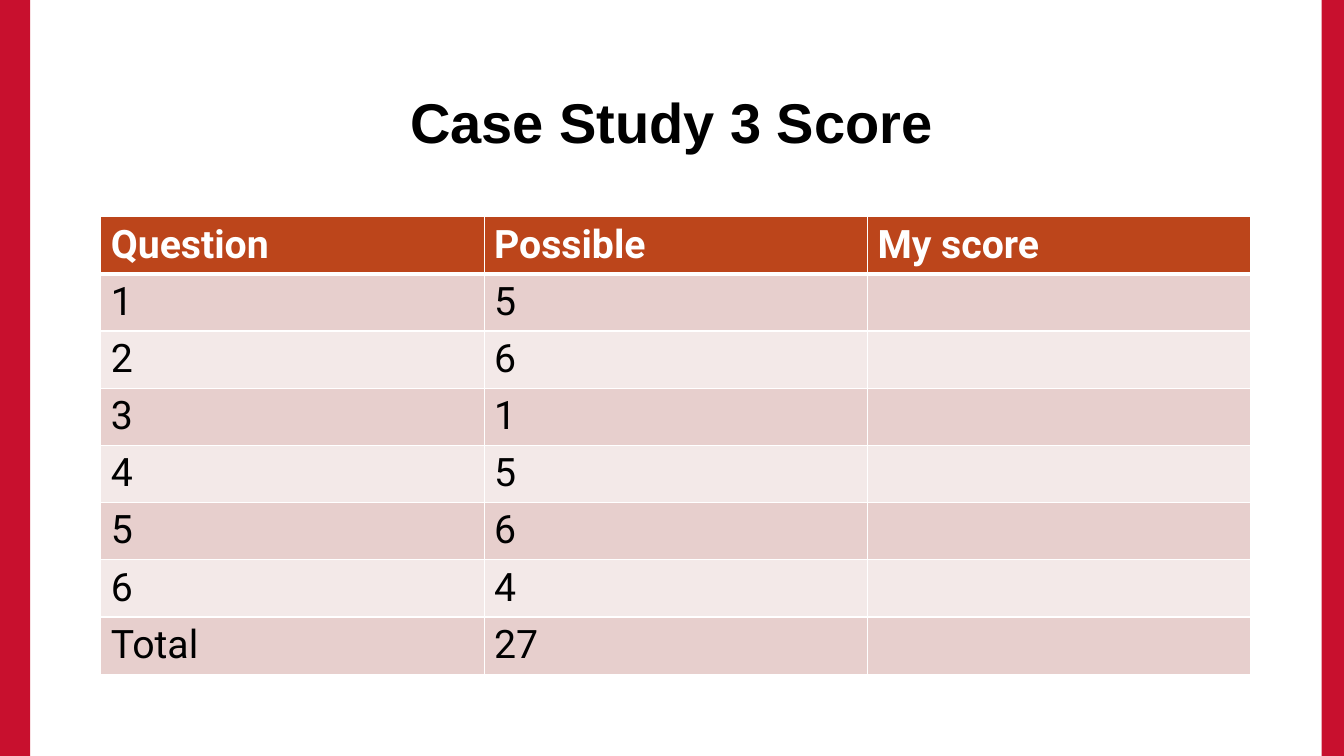
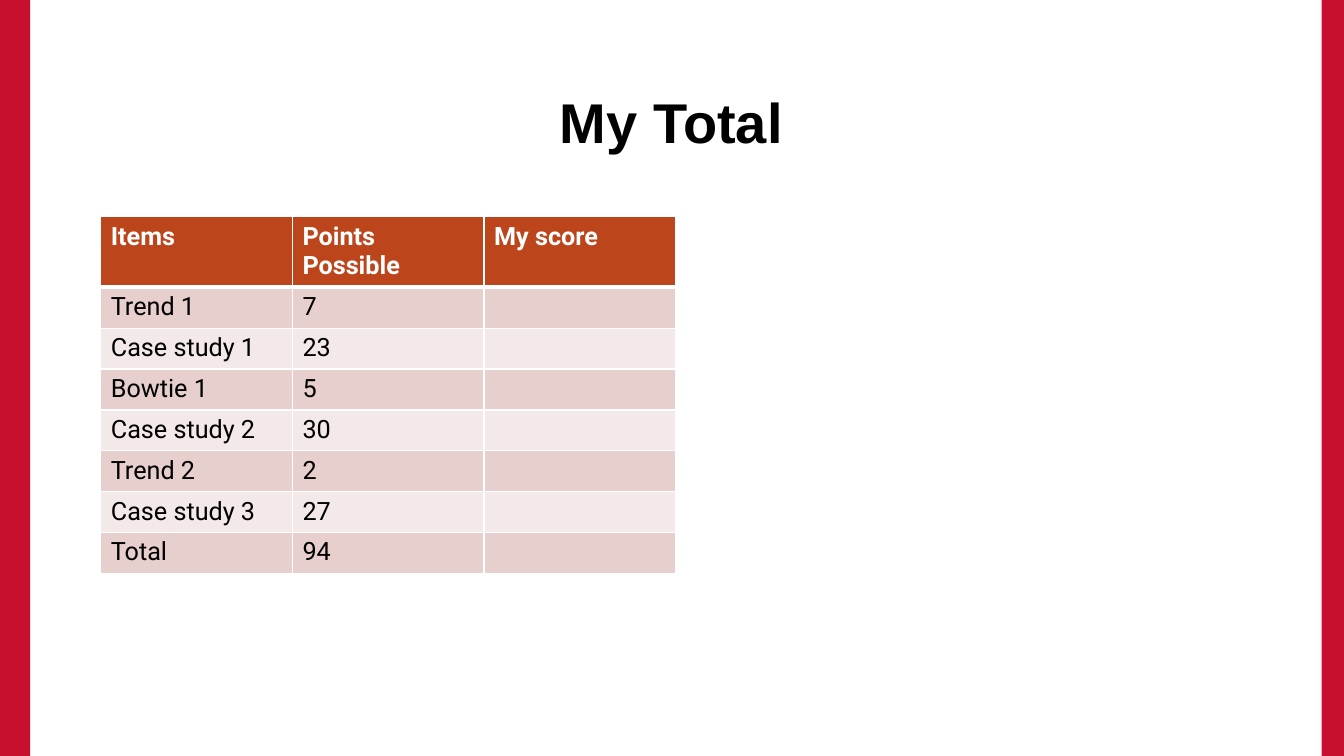
"""Build two score slides that share side bands, a title style and a table style."""
import pptx
import pptx.dml.color
import pptx.enum.shapes
import pptx.enum.text
import pptx.oxml
import pptx.oxml.ns
import pptx.util

Pt = pptx.util.Pt
HUES = {"band": "C8102E", "head": "BC451B", "dark": "E7CFCD", "light": "F3E9E8",
        "white": "FFFFFF", "black": "000000"}
WIDE, HIGH = 960, 540
BANDS = [(0, 21.6), (944, 16)]
LEFT, TOP = 72, 154.8
TITLE = {"name": "Arial", "size": Pt(40), "bold": True}
FRAME = {"word_wrap": True, "vertical_anchor": pptx.enum.text.MSO_ANCHOR.MIDDLE}
SLIDES = [
    {"title": "Case Study 3 Score", "size": 28, "col": 273.8, "head": 39.6, "row": 40,
     "rows": [("Question", "Possible", "My score"), ("1", "5", ""), ("2", "6", ""),
              ("3", "1", ""), ("4", "5", ""), ("5", "6", ""), ("6", "4", ""),
              ("Total", "27", "")]},
    {"title": "My Total", "size": 18, "col": 136.9, "head": 49, "row": 29.2,
     "rows": [("Items", "Points Possible", "My score"), ("Trend 1", "7", ""),
              ("Case study 1", "23", ""), ("Bowtie 1", "5", ""),
              ("Case study 2", "30", ""), ("Trend 2", "2", ""),
              ("Case study 3", "27", ""), ("Total", "94", "")]},
]


def paint(fill, hue):
    fill.solid()
    fill.fore_color.rgb = pptx.dml.color.RGBColor.from_string(HUES[hue])


def write(para, text, form, hue):
    run = para.add_run()
    run.text = text
    for key, value in form.items():
        setattr(run.font, key, value)
    run.font.color.rgb = pptx.dml.color.RGBColor.from_string(HUES[hue])


deck = pptx.Presentation()
deck.slide_width, deck.slide_height = Pt(WIDE), Pt(HIGH)

for page in SLIDES:
    slide = deck.slides.add_slide(deck.slide_layouts[6])
    for left, width in BANDS:
        band = slide.shapes.add_shape(pptx.enum.shapes.MSO_SHAPE.RECTANGLE,
                                      Pt(left), 0, Pt(width), Pt(HIGH))
        band.shadow.inherit = False
        paint(band.fill, "band")
        band.line.fill.background()

    frame = slide.shapes.add_textbox(Pt(LEFT), Pt(48), Pt(815), Pt(76.5)).text_frame
    for key, value in FRAME.items():
        setattr(frame, key, value)
    para = frame.paragraphs[0]
    para.alignment = pptx.enum.text.PP_ALIGN.CENTER
    write(para, page["title"], TITLE, "black")

    rows = page["rows"]
    count = len(rows[0])
    tall = page["head"] + page["row"] * (len(rows) - 1)
    table = slide.shapes.add_table(len(rows), count, Pt(LEFT), Pt(TOP),
                                   Pt(page["col"] * count), Pt(tall)).table
    for col in table.columns:
        col.width = Pt(page["col"])
    for r, row in enumerate(rows):
        first = r == 0
        table.rows[r].height = Pt(page["head"] if first else page["row"])
        form = {"name": "Roboto", "size": Pt(page["size"]), "bold": first}
        for c, text in enumerate(row):
            cell = table.cell(r, c)
            edges = {"L": 1, "R": 1, "T": 3 if r == 1 else 1, "B": 3 if first else 1}
            for side, width in edges.items():
                cell._tc.get_or_add_tcPr().append(pptx.oxml.parse_xml(
                    f'<a:ln{side} {pptx.oxml.ns.nsdecls("a")} w="{Pt(width)}">'
                    f'<a:solidFill><a:srgbClr val="{HUES["white"]}"/></a:solidFill>'
                    f'</a:ln{side}>'))
            paint(cell.fill, "head" if first else "dark" if r % 2 else "light")
            if text:
                write(cell.text_frame.paragraphs[0], text, form,
                      "white" if first else "black")

deck.save("out.pptx")
